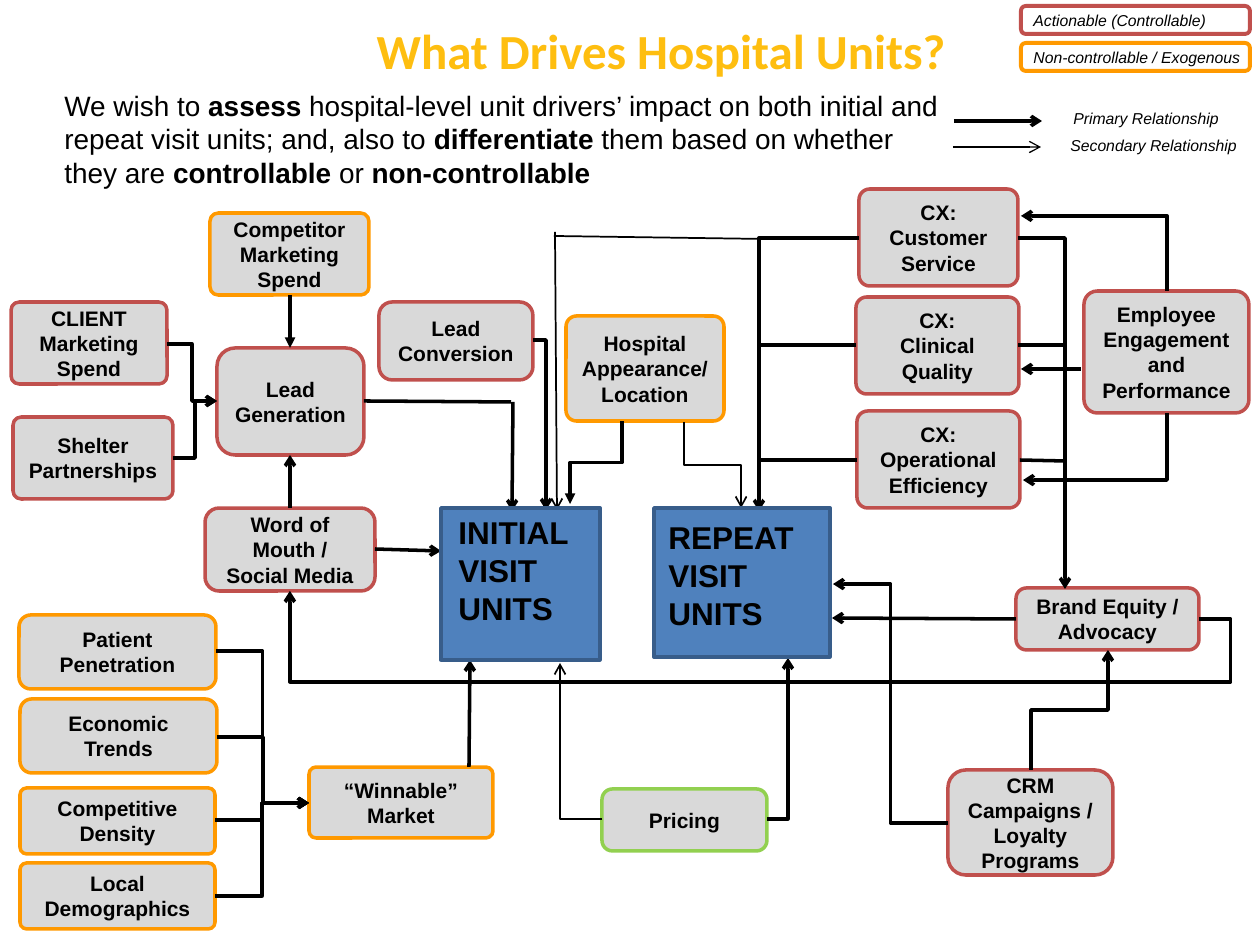
from lxml.etree import SubElement
from pptx import Presentation
from pptx.dml.color import RGBColor
from pptx.enum.shapes import MSO_CONNECTOR, MSO_SHAPE
from pptx.enum.text import MSO_ANCHOR, PP_ALIGN
from pptx.oxml.ns import qn
from pptx.util import Pt

EMU_PER_PX = 914400 / 126
COLORS = {
    "title": "FEBE10", "ink": "000000", "box": "D9D9D9", "controllable": "C0504D",
    "exogenous": "FF9900", "pricing": "92D050", "units": "4F81BD", "units_edge": "385D8A",
}
DRIVERS = [
    ("Competitor Marketing Spend", "exogenous", (210, 213, 159, 82), 0.1),
    ("Hospital Appearance/Location", "exogenous", (566, 316, 158, 105), 0.1),
    ("CX:\nCustomer Service", "controllable", (859, 189, 159, 97), 0.11),
    ("CX:\nClinical Quality", "controllable", (856, 297, 163, 97), 0.11),
    ("CX:\nOperational Efficiency", "controllable", (857, 411, 163, 97), 0.11),
    ("Employee Engagement and Performance", "controllable", (1084, 291, 165, 122), 0.11),
    ("Pricing", "pricing", (602, 789, 165, 62), 0.17),
    ("CRM Campaigns / Loyalty Programs", "controllable", (948, 770, 165, 105), 0.17),
    ("Brand Equity / Advocacy", "controllable", (1016, 588, 183, 62), 0.17),
    ("CLIENT Marketing Spend", "controllable", (11, 302, 156, 82), 0.1),
    ("Shelter Partnerships", "controllable", (13, 417, 160, 82), 0.1),
    ("Lead Generation", "controllable", (217, 348, 147, 107), 0.17),
    ("Lead Conversion", "controllable", (379, 302, 154, 78), 0.17),
    ("Word of Mouth / Social Media", "controllable", (205, 508, 170, 83), 0.17),
    ("Patient Penetration", "exogenous", (19, 615, 197, 74), 0.16),
    ("Economic Trends", "exogenous", (20, 699, 197, 74), 0.16),
    ("Competitive Density", "exogenous", (20, 788, 195, 66), 0.1),
    ("Local Demographics", "exogenous", (20, 863, 195, 66), 0.1),
    ("“Winnable” Market", "exogenous", (309, 767, 184, 71), 0.1),
]
STRAIGHTS = [
    ((954, 121), (1042, 121), 2, "arrow"),
    ((953, 147), (1041, 147), 0.75, "arrow"),
    ((1016, 619), (832, 618), 2, "arrow"),
    ((469, 767), (470, 660), 2, "arrow"),
    ((857, 460), (758, 460), 2, None),
    ((1066, 461), (1020, 460), 2, None),
    ((856, 345), (759, 345), 2, None),
    ((1066, 345), (1018, 345), 2, None),
    ((290, 508), (290, 455), 2, "arrow"),
    ((364, 401), (511, 402), 2, None),
    ((513, 402), (512, 511), 2, "arrow"),
    ((375, 549), (441, 551), 2, "arrow"),
    ((555, 232), (557, 510), 1, "arrow"),
    ((764, 239), (554, 236), 1, None),
    ((290, 295), (290, 348), 2, "triangle"),
    ((1081, 369), (1021, 369), 2, "arrow"),
]
CORNERS = [
    ((602, 819), (560, 663), 1, False),
    ((767, 819), (788, 658), 2, False),
    ((859, 238), (759, 511), 2, False),
    ((1018, 238), (1065, 589), 2, False),
    ((533, 340), (546, 510), 2, False),
    ((1167, 291), (1021, 216), 2, True),
    ((1167, 413), (1023, 480), 2, True),
]
STEPS = [
    ((622, 421), (570, 504), 2, True, "triangle"),
    ((684, 422), (741, 508), 1, True, "arrow"),
    ((948, 823), (833, 584), 2, False, "arrow"),
    ((1031, 770), (1108, 650), 2, True, "arrow"),
    ((167, 344), (217, 401), 2, False, "arrow"),
    ((173, 458), (217, 401), 2, False, "arrow"),
]
MARKET_FEEDS = [(216, 651), (217, 737), (215, 820), (215, 896)]
TURNS = {
    (False, True, True): (0, 0, 0), (False, True, False): (0, 0, 1),
    (False, False, True): (180, 0, 1), (False, False, False): (180, 0, 0),
    (True, False, True): (90, 0, 0), (True, True, True): (270, 1, 0),
    (True, True, False): (90, 1, 1), (True, False, False): (270, 0, 1),
}


def px(*lengths):
    return [round(length * EMU_PER_PX) for length in lengths]


def color(name):
    return RGBColor.from_string(COLORS[name])


def add_run(paragraph, text, size, bold=False, italic=False, ink="ink", face="Arial"):
    run = paragraph.add_run()
    run.text = text
    run.font.size = Pt(size)
    run.font.bold = bold
    run.font.italic = italic
    run.font.name = face
    run.font.color.rgb = color(ink)


def add_text(slide, place, paragraphs, size, **style):
    frame = slide.shapes.add_textbox(*px(*place)).text_frame
    frame.word_wrap = True
    for index, runs in enumerate(paragraphs):
        paragraph = frame.add_paragraph() if index else frame.paragraphs[0]
        for text, bold in runs:
            add_run(paragraph, text, size, bold, **style)
    return frame


def add_box(slide, kind, place, fill, edge, weight):
    box = slide.shapes.add_shape(kind, *px(*place))
    box.shadow.inherit = False
    if fill:
        box.fill.solid()
        box.fill.fore_color.rgb = color(fill)
    else:
        box.fill.background()
    box.line.color.rgb = color(edge)
    box.line.width = Pt(weight)
    return box


def add_driver(slide, label, edge, place, rounding):
    box = add_box(slide, MSO_SHAPE.ROUNDED_RECTANGLE, place, "box", edge, 2)
    box.adjustments[0] = rounding
    frame = box.text_frame
    frame.word_wrap = True
    frame.vertical_anchor = MSO_ANCHOR.MIDDLE
    paragraph = frame.paragraphs[0]
    paragraph.alignment = PP_ALIGN.CENTER
    for index, line in enumerate(label.split("\n")):
        if index:
            paragraph.add_line_break()
        add_run(paragraph, line, 12, bold=True)


def add_link(slide, start, end, weight, head, kind=MSO_CONNECTOR.STRAIGHT):
    link = slide.shapes.add_connector(kind, *px(*start, *end))
    link.line.color.rgb = color("ink")
    link.line.width = Pt(weight)
    if head:
        SubElement(link.line._get_or_add_ln(), qn("a:tailEnd"), type=head)
    SubElement(link._element.spPr, qn("a:effectLst"))
    return link


def add_elbow(slide, start, end, weight, vertical, segments, head="arrow", turn=None, bends=()):
    """Draw a bent connector, turned so that its first segment leaves along the wanted axis."""
    link = add_link(slide, start, end, weight, head, MSO_CONNECTOR.ELBOW)
    across, down = end[0] - start[0], end[1] - start[1]
    if vertical:
        middle_x, middle_y = (start[0] + end[0]) / 2, (start[1] + end[1]) / 2
        width, height = abs(down), abs(across)
        link.left, link.top, link.width, link.height = px(
            middle_x - width / 2, middle_y - height / 2, width, height)
    rotation, flip_h, flip_v = turn or TURNS[vertical, across > 0, down > 0]
    frame = link._element.spPr.find(qn("a:xfrm"))
    for name, value in (("rot", rotation * 60000), ("flipH", flip_h), ("flipV", flip_v)):
        frame.set(name, str(value))
    geometry = link._element.spPr.find(qn("a:prstGeom"))
    geometry.set("prst", f"bentConnector{segments}")
    for index, bend in enumerate(bends, 1):
        SubElement(geometry.find(qn("a:avLst")), qn("a:gd"),
                   name=f"adj{index}", fmla=f"val {round(bend * 100000)}")


def add_heading(slide):
    title = add_text(slide, (95, 14, 1132, 72), [[("What Drives Hospital Units?", True)]],
                     28, ink="title", face="Calibri")
    title.vertical_anchor = MSO_ANCHOR.MIDDLE
    title.paragraphs[0].alignment = PP_ALIGN.CENTER
    add_text(slide, (52, 82, 910, 113), [[
        ("We wish to ", False), ("assess ", True),
        ("hospital-level unit drivers’ impact on both initial and repeat visit units; "
         "and, also to ", False),
        ("differentiate ", True), ("them based on whether they are ", False),
        ("controllable ", True), ("or ", False), ("non-controllable", True)]], 16)


def add_legend(slide):
    for top, label, edge in ((6, "Actionable (Controllable)", "controllable"),
                             (43, "Non-controllable / Exogenous", "exogenous")):
        add_box(slide, MSO_SHAPE.ROUNDED_RECTANGLE, (1021, top, 229, 28), None, edge, 2.25)
        add_text(slide, (1021, top - 1, 233, 32), [[(label, False)]], 9, italic=True)
    for left, top, label in ((1061, 103, "Primary Relationship"),
                             (1058, 130, "Secondary Relationship")):
        add_text(slide, (left, top, 199, 32), [[(label, False)]], 9, italic=True)


def add_links(slide):
    for start, end, weight, head in STRAIGHTS:
        add_link(slide, start, end, weight, head)
    for start, end, weight, vertical in CORNERS:
        add_elbow(slide, start, end, weight, vertical, 2)
    for start, end, weight, vertical, head in STEPS:
        add_elbow(slide, start, end, weight, vertical, 3, head)
    for start in MARKET_FEEDS:
        add_elbow(slide, start, (309, 803), 2, False, 3)
    add_elbow(slide, (1199, 619), (290, 591), 2, False, 4, turn=(0, 1, 1), bends=(-0.035, -2.25))


def add_units(slide, name, box_place, text_place):
    add_box(slide, MSO_SHAPE.RECTANGLE, box_place, "units", "units_edge", 2)
    add_text(slide, text_place, [[(word, True)] for word in (name, "VISIT", "UNITS")], 18)


def main():
    deck = Presentation()
    deck.slide_width, deck.slide_height = px(1260, 945)
    slide = deck.slides.add_slide(deck.slide_layouts[6])
    add_heading(slide)
    add_legend(slide)
    for driver in DRIVERS:
        add_driver(slide, *driver)
    add_links(slide)
    add_units(slide, "INITIAL", (441, 508, 159, 152), (446, 507, 156, 126))
    add_units(slide, "REPEAT", (654, 508, 176, 149), (656, 512, 176, 126))
    deck.save("out.pptx")


if __name__ == "__main__":
    main()
